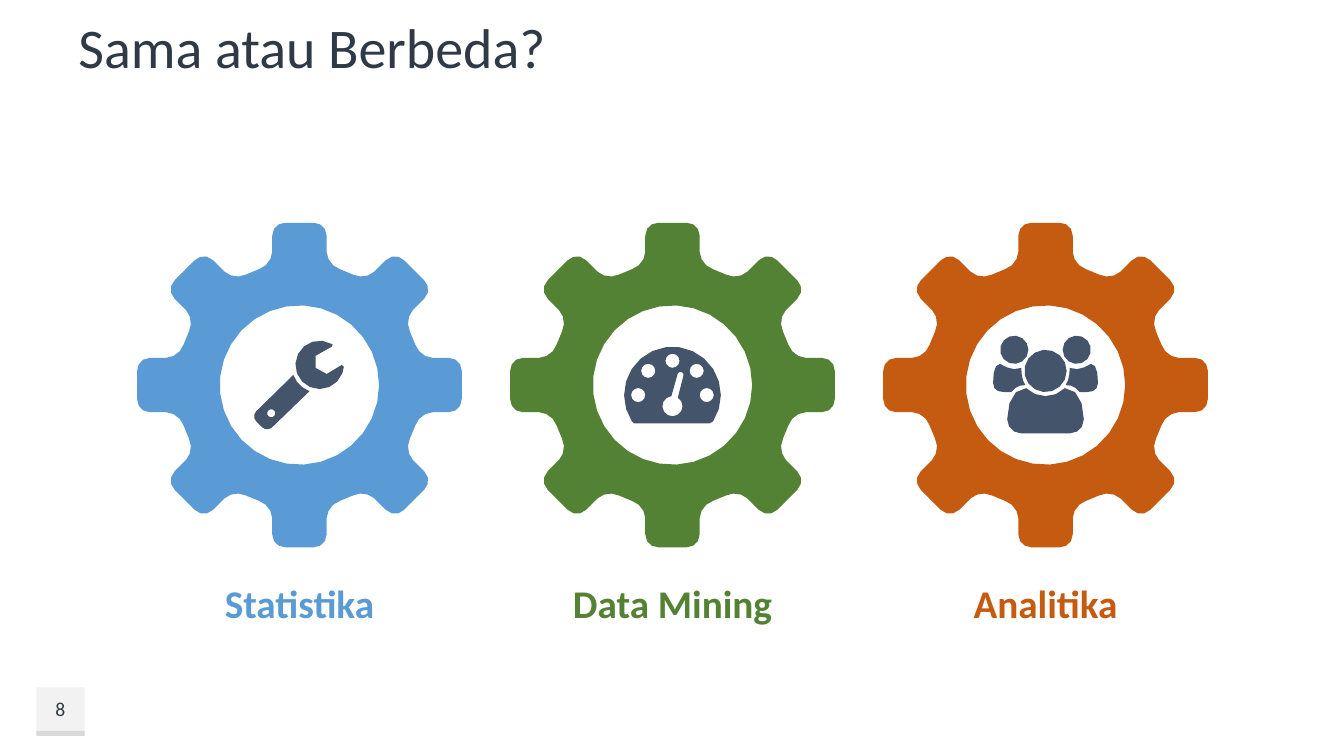
"""Build the slide comparing statistics, data mining and analytics as three gears."""
from dataclasses import dataclass
from math import cos, pi, radians, sin

from pptx import Presentation
from pptx.dml.color import RGBColor
from pptx.enum.shapes import MSO_SHAPE
from pptx.enum.text import MSO_ANCHOR, PP_ALIGN
from pptx.slide import Slide
from pptx.util import Inches, Pt

INK = RGBColor(0x2F, 0x3A, 0x46)
SLATE = RGBColor(0x44, 0x54, 0x6A)
BLUE = RGBColor(0x5B, 0x9B, 0xD5)
GREEN = RGBColor(0x54, 0x82, 0x35)
ORANGE = RGBColor(0xC5, 0x5A, 0x11)
LIGHT_GRAY = RGBColor(0xF2, 0xF2, 0xF2)
MID_GRAY = RGBColor(0xD9, 0xD9, 0xD9)

FIRST_X, GEAR_Y, PITCH = 2.97, 3.82, 3.7
LABEL_W = 2.48

Point = tuple[float, float]
Outline = list[Point]


@dataclass(frozen=True)
class Topic:
    name: str
    color: RGBColor
    icon: list[Outline]


@dataclass(frozen=True)
class Label:
    text: str
    left: float
    top: float
    width: float
    height: float
    size: int
    color: RGBColor = INK
    bold: bool = False
    align: PP_ALIGN = PP_ALIGN.CENTER
    anchor: MSO_ANCHOR = MSO_ANCHOR.MIDDLE
    spacing: float = 1.0


def arc(cx: float, cy: float, radius: float, start: float = 0, end: float = 360) -> Outline:
    steps = max(3, round(abs(end - start) / 360 * (10 + 24 * radius)))
    angles = [radians(start + (end - start) * i / steps) for i in range(steps + 1)]
    return [(cx + radius * cos(a), cy + radius * sin(a)) for a in angles]


def curve(a: Point, b: Point, c: Point, d: Point, steps: int = 3) -> Outline:
    pts = []
    for i in range(steps + 1):
        t = i / steps
        weights = ((1 - t) ** 3, 3 * t * (1 - t) ** 2, 3 * t * t * (1 - t), t ** 3)
        pts.append((sum(w * q[0] for w, q in zip(weights, (a, b, c, d))),
                    sum(w * q[1] for w, q in zip(weights, (a, b, c, d)))))
    return pts


def mirror_x(pts: Outline) -> Outline:
    return [(-x, y) for x, y in reversed(pts)]


def gear() -> list[Outline]:
    side = (curve((1.15, -0.4), (1.17, -0.33), (1.25, -0.27), (1.32, -0.27))
            + curve((1.48, -0.27), (1.56, -0.27), (1.61, -0.21), (1.61, -0.14)))
    tooth = side + [(x, -y) for x, y in reversed(side)]
    turns = [k * pi / 4 for k in range(8)]
    rim = [(x * cos(a) - y * sin(a), x * sin(a) + y * cos(a)) for a in turns for x, y in tooth]
    return [rim, arc(0, 0, 0.79)]


def wrench() -> list[Outline]:
    handle = (arc(0.2, -0.2, 0.28, 159, 111) + arc(-0.32, 0.37, 0.07, 45, 135)
              + arc(-0.38, 0.31, 0.07, 135, 225))
    mouth = [(0.44, -0.18), (0.42, -0.2), (0.27, -0.11), (0.16, -0.17),
             (0.16, -0.29), (0.32, -0.38), (0.33, -0.4)]
    return [handle, arc(-0.28, 0.28, 0.04), arc(0.2, -0.2, 0.24, -60, -340) + mouth]


def gauge() -> list[Outline]:
    dome = arc(0, 0.1, 0.48, 147, 393) + [(0.37, 0.38), (-0.38, 0.38)]
    needle = arc(0, 0.21, 0.1, -58, 264) + arc(0.08, -0.1, 0.03, 195, 375)
    marks = [arc(0.34 * cos(k * pi / 4), 0.1 - 0.34 * sin(k * pi / 4), 0.07) for k in range(5)]
    return [dome, needle, *marks]


def team() -> list[Outline]:
    flank = (curve((-0.19, 0.03), (-0.31, 0.03), (-0.38, 0.16), (-0.38, 0.34))
             + curve((-0.38, 0.34), (-0.38, 0.42), (-0.32, 0.48), (-0.24, 0.48)))
    body = arc(0, -0.16, 0.27, 45, 135) + flank + mirror_x(flank)
    shoulder = (curve((-0.24, -0.17), (-0.24, -0.11), (-0.23, -0.04), (-0.2, 0))
                + curve((-0.2, 0), (-0.26, 0), (-0.3, 0.02), (-0.34, 0.07))
                + curve((-0.41, 0.07), (-0.48, 0.07), (-0.52, 0.04), (-0.52, -0.02))
                + curve((-0.52, -0.02), (-0.52, -0.14), (-0.5, -0.21), (-0.45, -0.21))
                + curve((-0.45, -0.21), (-0.39, -0.17), (-0.31, -0.14), (-0.24, -0.17)))
    head = arc(-0.31, -0.35, 0.14)
    return [body, arc(0, -0.14, 0.21), shoulder, mirror_x(shoulder), head, mirror_x(head)]


def add_outlines(s: Slide, outlines: list[Outline], cx: float, color: RGBColor) -> None:
    placed = [[(Inches(cx + x), Inches(GEAR_Y + y)) for x, y in pts] for pts in outlines]
    builder = s.shapes.build_freeform(*placed[0][0], scale=1.0)
    builder.add_line_segments(placed[0][1:], close=True)
    for pts in placed[1:]:
        builder.move_to(*pts[0])
        builder.add_line_segments(pts[1:], close=True)
    sp = builder.convert_to_shape()
    sp.shadow.inherit = False
    sp.fill.solid()
    sp.fill.fore_color.rgb = color
    sp.line.fill.background()


def add_bar(s: Slide, top: float, height: float, color: RGBColor) -> None:
    sp = s.shapes.add_shape(MSO_SHAPE.RECTANGLE, Inches(0.36), Inches(top),
                            Inches(0.48), Inches(height))
    sp.shadow.inherit = False
    sp.fill.solid()
    sp.fill.fore_color.rgb = color
    sp.line.fill.background()


def add_label(s: Slide, label: Label) -> None:
    sp = s.shapes.add_textbox(Inches(label.left), Inches(label.top),
                              Inches(label.width), Inches(label.height))
    tf = sp.text_frame
    tf.word_wrap = True
    tf.vertical_anchor = label.anchor
    tf.text = label.text
    p = tf.paragraphs[0]
    p.alignment = label.align
    p.line_spacing = label.spacing
    r = p.runs[0]
    r.font.name = "Calibri"
    r.font.size = Pt(label.size)
    r.font.bold = label.bold
    r.font.color.rgb = label.color


def main() -> None:
    prs = Presentation()
    prs.slide_width, prs.slide_height = Inches(13.33), Inches(7.5)
    s = prs.slides.add_slide(prs.slide_layouts[6])
    add_bar(s, 6.82, 0.48, LIGHT_GRAY)
    add_bar(s, 7.25, 0.05, MID_GRAY)
    add_label(s, Label("8", 0.36, 6.82, 0.48, 0.43, 14))
    add_label(s, Label("Sama atau Berbeda?", 0.68, 0.16, 10.5, 0.68, 40,
                       align=PP_ALIGN.LEFT, spacing=0.9))
    topics = [Topic("Statistika", BLUE, wrench()), Topic("Data Mining", GREEN, gauge()),
              Topic("Analitika", ORANGE, team())]
    for i, topic in enumerate(topics):
        cx = FIRST_X + i * PITCH
        add_outlines(s, gear(), cx, topic.color)
        add_outlines(s, topic.icon, cx, SLATE)
        add_label(s, Label(topic.name, cx - LABEL_W / 2, 5.7, LABEL_W, 0.57, 28,
                           topic.color, bold=True, anchor=MSO_ANCHOR.TOP))
    prs.save("out.pptx")


if __name__ == "__main__":
    main()
